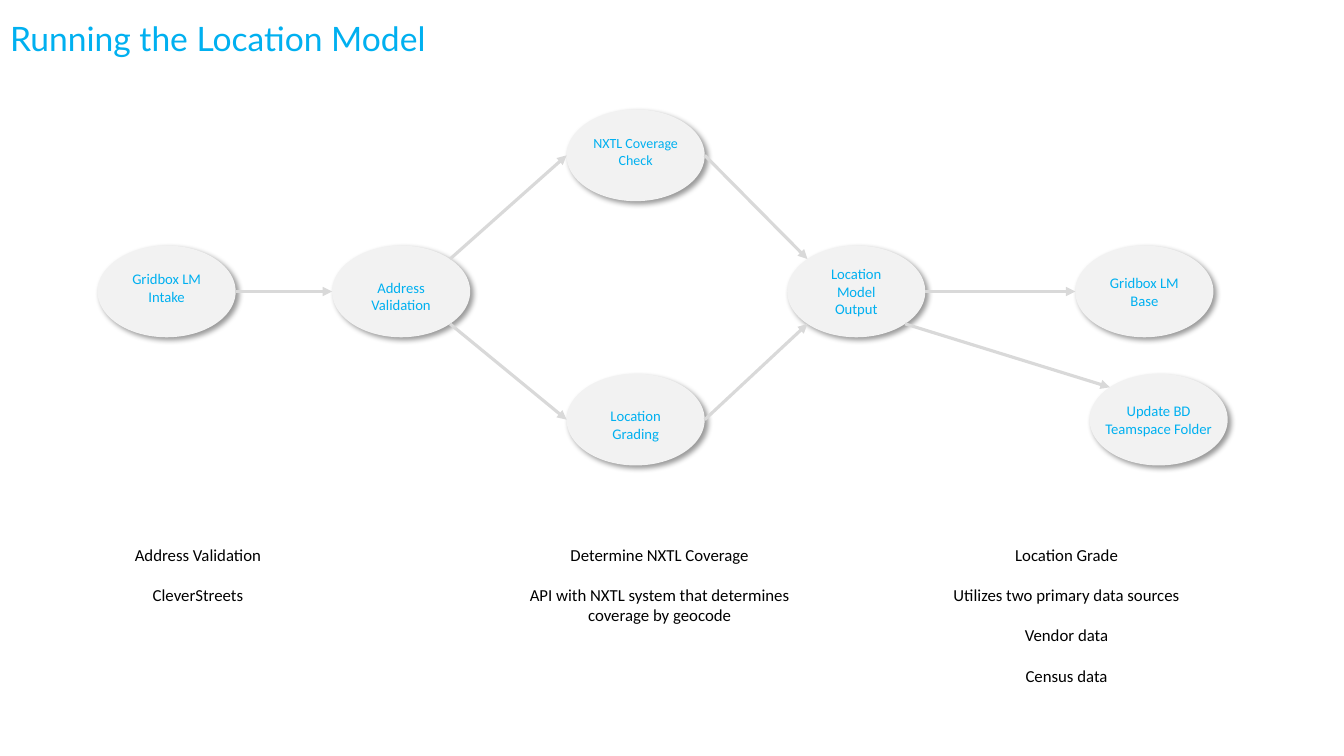
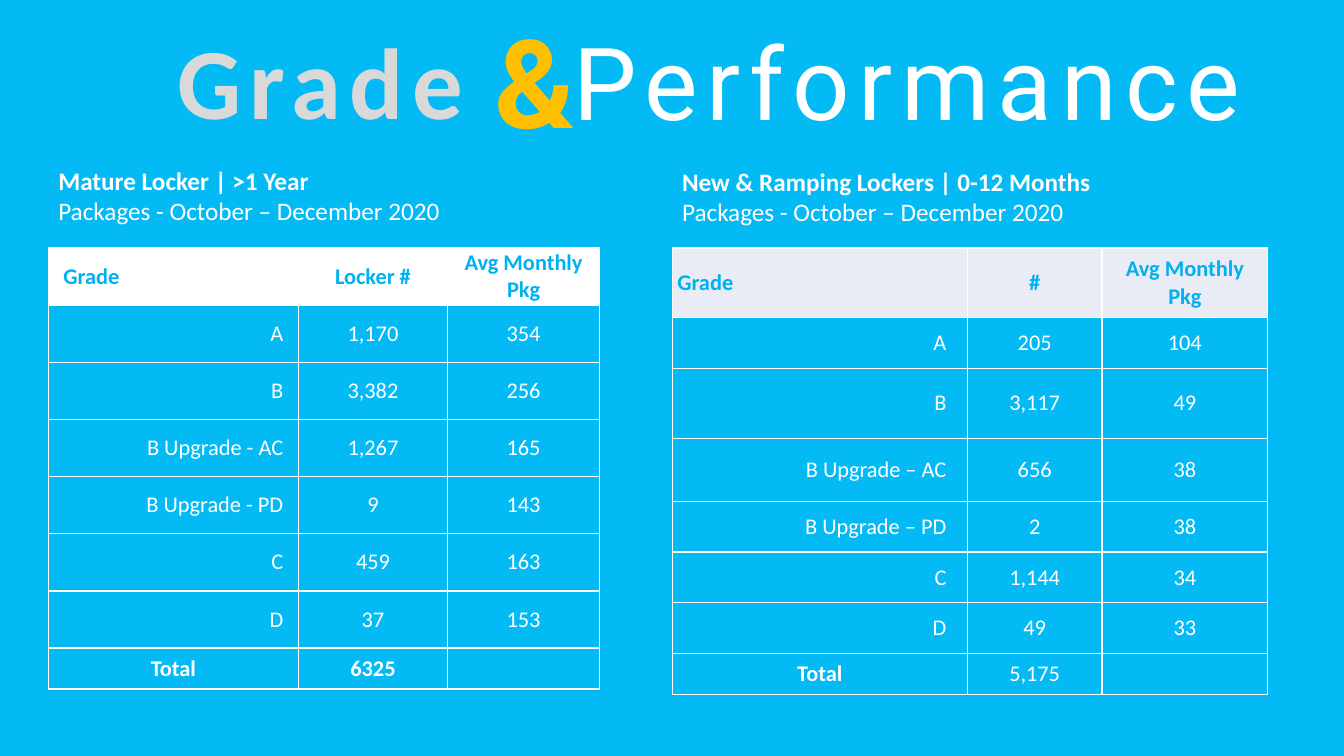
from math import cos, radians, sin

from lxml.etree import SubElement
from pptx import Presentation
from pptx.dml.color import RGBColor
from pptx.enum.shapes import MSO_CONNECTOR, MSO_SHAPE
from pptx.enum.text import MSO_ANCHOR, MSO_AUTO_SIZE, PP_ALIGN
from pptx.oxml import parse_xml
from pptx.oxml.ns import nsdecls, qn
from pptx.util import Cm, Pt

SKY = RGBColor(0x00, 0xB0, 0xF0)
BACKDROP = RGBColor(0x04, 0xBA, 0xF5)
WHITE = RGBColor(0xFF, 0xFF, 0xFF)
BLACK = RGBColor(0x00, 0x00, 0x00)
PALE = RGBColor(0xF2, 0xF2, 0xF2)
SILVER = RGBColor(0xD9, 0xD9, 0xD9)
AMBER = RGBColor(0xFF, 0xC0, 0x00)
LAVENDER = RGBColor(0xE9, 0xEB, 0xF5)

LEFT, CENTER, RIGHT = PP_ALIGN.LEFT, PP_ALIGN.CENTER, PP_ALIGN.RIGHT
TOP_LEFT, WEST, BOTTOM_LEFT, BOTTOM_RIGHT, EAST, TOP_RIGHT = 1, 2, 3, 5, 6, 7
NODE_W, NODE_H = 3.48, 2.31

SHADOW = (
    f'<a:effectLst {nsdecls("a")}>'
    '<a:outerShdw blurRad="50800" dist="38100" dir="2700000" algn="tl" rotWithShape="0">'
    '<a:srgbClr val="000000"><a:alpha val="40000"/></a:srgbClr>'
    '</a:outerShdw></a:effectLst>'
)


class Deck:
    font = "Calibri"

    def __init__(self):
        self.prs = Presentation()
        self.prs.slide_width, self.prs.slide_height = Cm(33.87), Cm(19.05)

    def slide(self, background):
        self.s = self.prs.slides.add_slide(self.prs.slide_layouts[5])
        fill = self.s.background.fill
        fill.solid()
        fill.fore_color.rgb = background

    def style(self, p, size, color, bold=False, align=LEFT, font=None):
        p.alignment = align
        p.font.name = font or self.font
        p.font.size = Pt(size)
        p.font.bold = bold
        p.font.color.rgb = color

    def fill_text(self, tf, lines, *style, gap=0, spacing=0, **look):
        tf.word_wrap = True
        tf.auto_size = MSO_AUTO_SIZE.NONE
        for i, line in enumerate(lines):
            p = tf.add_paragraph() if i else tf.paragraphs[0]
            r = p.add_run()
            r.text = line
            if spacing:
                r._r.get_or_add_rPr().set("spc", str(spacing * 100))
            if i and gap:
                p.space_before = Pt(gap)
            self.style(p, *style, **look)

    def title(self, text, box, *style, **look):
        sp = self.s.shapes.title
        sp.left, sp.top, sp.width, sp.height = map(Cm, box)
        sp.text_frame.vertical_anchor = MSO_ANCHOR.MIDDLE
        self.fill_text(sp.text_frame, [text], *style, **look)

    def text(self, lines, box, *style, **look):
        sp = self.s.shapes.add_textbox(*map(Cm, box))
        self.fill_text(sp.text_frame, lines, *style, **look)
        return sp.text_frame

    def node(self, lines, x, y, size=10.5, shift=0):
        sp = self.s.shapes.add_shape(
            MSO_SHAPE.OVAL, Cm(x), Cm(y), Cm(NODE_W), Cm(NODE_H))
        sp.fill.solid()
        sp.fill.fore_color.rgb = PALE
        sp.line.fill.background()
        sp._element.spPr.append(parse_xml(SHADOW))
        tf = sp.text_frame
        tf.word_wrap = False
        tf.vertical_anchor = MSO_ANCHOR.MIDDLE
        tf.margin_left = tf.margin_right = 0
        tf.margin_top = Cm(max(0, 2 * shift))
        tf.margin_bottom = Cm(max(0, -2 * shift))
        p = tf.paragraphs[0]
        for i, line in enumerate(lines):
            if i:
                p.add_line_break()
            p.add_run().text = line
        self.style(p, size, SKY, align=CENTER)
        return sp

    def site(self, sp, index):
        angle = radians(90 + 45 * index)
        return (int(sp.left + sp.width * (1 + cos(angle)) / 2),
                int(sp.top + sp.height * (1 - sin(angle)) / 2))

    def arrow(self, start, start_site, end, end_site):
        c = self.s.shapes.add_connector(
            MSO_CONNECTOR.STRAIGHT,
            *self.site(start, start_site), *self.site(end, end_site))
        c.line.color.rgb = SILVER
        c.line.width = Pt(2.25)
        SubElement(c._element.spPr.get_or_add_ln(), qn("a:tailEnd"), type="triangle")
        SubElement(c._element.spPr, qn("a:effectLst"))
        joints = c._element.xpath(".//p:cNvCxnSpPr")[0]
        for tag, sp, index in (("a:stCxn", start, start_site), ("a:endCxn", end, end_site)):
            SubElement(joints, qn(tag), id=str(sp.shape_id), idx=str(index))

    def cell(self, cell, text, color, bold, align, margins, fill=None):
        cell.margin_left, cell.margin_right = map(Cm, margins)
        cell.margin_top = cell.margin_bottom = 0
        cell.vertical_anchor = MSO_ANCHOR.MIDDLE
        for side in ("L", "R", "T", "B"):
            cell._tc.get_or_add_tcPr().append(parse_xml(
                f'<a:ln{side} {nsdecls("a")} w="12700"><a:solidFill>'
                f'<a:srgbClr val="{WHITE}"/></a:solidFill></a:ln{side}>'))
        if fill is None:
            cell.fill.background()
        else:
            cell.fill.solid()
            cell.fill.fore_color.rgb = fill
        cell.text = text
        self.style(cell.text_frame.paragraphs[0], 16, color, bold, align)

    def table(self, rows, x, y, widths, heights, header_fill, pads, bold_total):
        table = self.s.shapes.add_table(
            len(rows), len(widths), Cm(x), Cm(y),
            Cm(sum(widths)), Cm(sum(heights))).table
        table.first_row = table.horz_banding = False
        for column, width in zip(table.columns, widths):
            column.width = Cm(width)
        for row, height in zip(table.rows, heights):
            row.height = Cm(height)
        last = len(rows) - 1
        for i, row in enumerate(rows):
            for j, text in enumerate(row):
                header, total = i == 0, i == last
                label = j == 0 and not total
                align = CENTER if not label else LEFT if header else RIGHT
                bold = header or total and (j == 0 or bold_total)
                self.cell(table.cell(i, j), text, SKY if header else WHITE, bold, align,
                          pads if label else (0.13, 0.13),
                          header_fill if header else None)


def location_model(d):
    d.slide(WHITE)
    d.title("Running the Location Model", (0, 0.33, 33.87, 1.27), 24, SKY, font="Lato")

    upper, middle, lower = 2.76, 6.19, 9.42
    first, step = 2.46, 5.91
    intake = d.node(["Gridbox LM", "Intake"], first, middle, shift=-0.1)
    validation = d.node(["Address", "Validation"], first + step, middle, shift=0.12)
    grading = d.node(["Location", "Grading"], first + 2 * step, lower, shift=0.12)
    coverage = d.node(["NXTL Coverage", "Check"], first + 2 * step, upper, 10, shift=-0.1)
    output = d.node(["Location", "Model", "Output"], 19.84, middle)
    folder = d.node(["Update BD", "Teamspace Folder"], 27.46, lower)
    base = d.node(["Gridbox LM", "Base"], 27.1, middle)

    for ends in (
        (intake, EAST, validation, WEST),
        (validation, TOP_RIGHT, coverage, WEST),
        (validation, BOTTOM_RIGHT, grading, WEST),
        (grading, EAST, output, BOTTOM_LEFT),
        (coverage, EAST, output, TOP_LEFT),
        (output, EAST, base, WEST),
        (output, BOTTOM_RIGHT, folder, TOP_LEFT),
    ):
        d.arrow(*ends)

    for x, width, lines in (
        (1.09, 7.8, ["Address Validation", "CleverStreets"]),
        (12.32, 8.61, ["Determine NXTL Coverage",
                       "API with NXTL system that determines coverage by geocode"]),
        (22.83, 8.1, ["Location Grade", "Utilizes two primary data sources",
                      "Vendor data", "Census data"]),
    ):
        d.text(lines, (x, 13.59, width, 4.37), 12, BLACK, align=CENTER, gap=14.5)


def grade_performance(d):
    d.slide(BACKDROP)
    d.title("Grade", (3.02, 0.33, 10.11, 3.33), 72, SILVER, bold=True,
            align=CENTER, spacing=6)
    d.text(["&"], (12.22, 0, 5.41, 4.01), 88, AMBER, bold=True, font="Roboto")
    d.text(["Performance"], (14.2, 0.36, 18.4, 3.33), 72, WHITE, font="Roboto", spacing=6)

    period = "Packages - October – December 2020"
    mature = [
        ("Grade", "Locker #", "Avg Monthly Pkg"),
        ("A", "1,170", "354"),
        ("B", "3,382", "256"),
        ("B Upgrade - AC", "1,267", "165"),
        ("B Upgrade - PD", "9", "143"),
        ("C", "459", "163"),
        ("D", "37", "153"),
        ("Total", "6325", ""),
    ]
    ramping = [
        ("Grade", "#", "Avg Monthly Pkg"),
        ("A", "205", "104"),
        ("B", "3,117", "49"),
        ("B Upgrade – AC", "656", "38"),
        ("B Upgrade – PD", "2", "38"),
        ("C", "1,144", "34"),
        ("D", "49", "33"),
        ("Total", "5,175", ""),
    ]
    for x, top, heading, rows, widths, heights, fill, pads, bold_total in (
        (1.22, 4.04, "Mature Locker | >1 Year", mature, (6.3, 3.76, 3.83),
         [1.44] * 7 + [1.03], WHITE, (0.38, 0.38), True),
        (16.94, 4.07, "New & Ramping Lockers | 0-12 Months", ramping, (7.44, 3.39, 4.18),
         [1.75, 1.28, 1.76, 1.59, 1.28, 1.28, 1.28, 1.03], LAVENDER, (0.13, 0.53), False),
    ):
        tf = d.text([heading, period], (x, top, 16.46, 1.8), 18, WHITE)
        tf.paragraphs[0].font.bold = True
        d.table(rows, x, 6.25, widths, heights, fill, pads, bold_total)


def main():
    d = Deck()
    location_model(d)
    grade_performance(d)
    d.prs.save("out.pptx")


if __name__ == "__main__":
    main()
